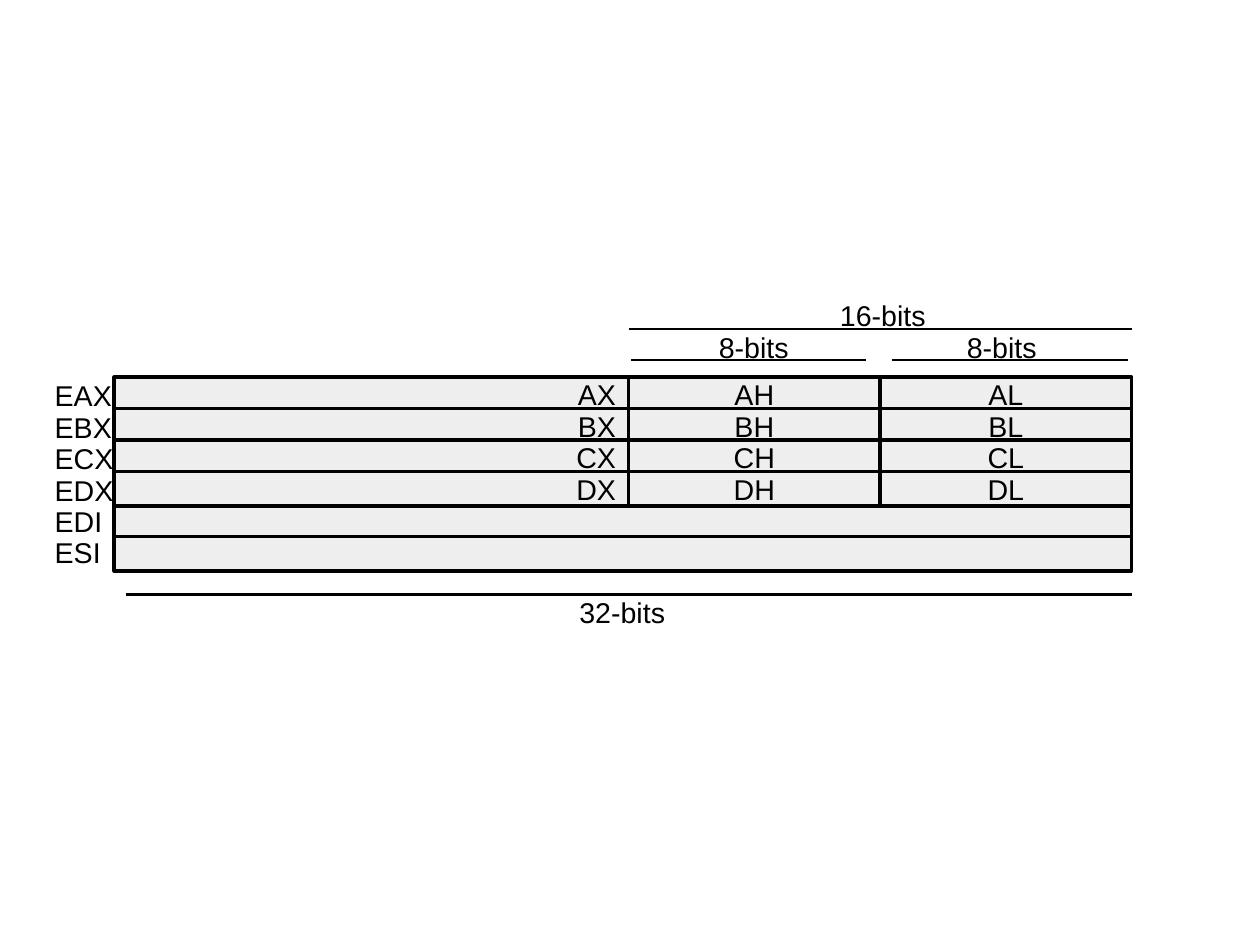
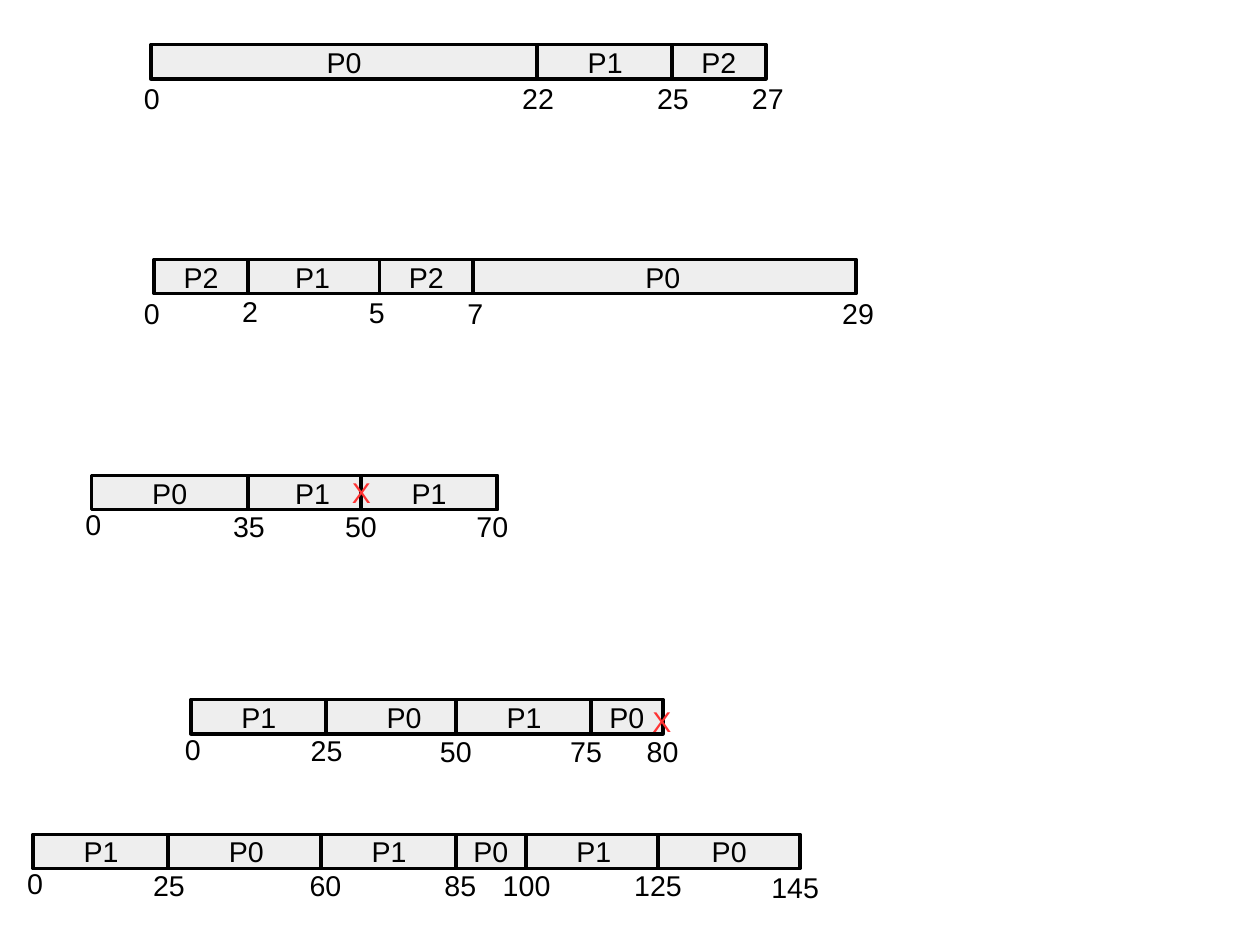
from typing import NamedTuple

from lxml import etree
from pptx import Presentation
from pptx.dml.color import RGBColor
from pptx.enum.shapes import MSO_CONNECTOR, MSO_SHAPE
from pptx.enum.text import MSO_ANCHOR, MSO_AUTO_SIZE, PP_ALIGN
from pptx.oxml.ns import qn
from pptx.slide import Slide
from pptx.text.text import TextFrame
from pptx.util import Inches, Pt

BLACK = RGBColor(0x00, 0x00, 0x00)
GREY = RGBColor(0xEE, 0xEE, 0xEE)
RED = RGBColor(0xFF, 0x33, 0x33)
FONT = "Arial"
FONT_SIZE = Pt(18)

LEFT, CENTER, RIGHT = PP_ALIGN.LEFT, PP_ALIGN.CENTER, PP_ALIGN.RIGHT
MIDDLE = MSO_ANCHOR.MIDDLE
GROW = MSO_AUTO_SIZE.SHAPE_TO_FIT_TEXT
RECTANGLE = MSO_SHAPE.RECTANGLE
STRAIGHT = MSO_CONNECTOR.STRAIGHT

CM_PER_INCH = 2.54
SLIDE_WIDTH = Inches(28 / CM_PER_INCH)
SLIDE_HEIGHT = Inches(21 / CM_PER_INCH)

BOX_HEIGHT = 0.3
LABEL_HEIGHT = 0.38
NUMBER_WIDTHS = {1: 0.34, 2: 0.48, 3: 0.62}  # by count of digits
CROSS_WIDTH = 0.36

REGISTERS_LEFT, REGISTERS_RIGHT = 1.0, 9.9
REGISTERS_TOP = 3.3
ROW_PITCH = 1.1 / 4
WHOLE_TOP = 4.42
NAME_LEFT, NAME_TOP, NAME_WIDTH = 0.38, 3.26, 0.72


class Column(NamedTuple):
    left: float
    width: float
    suffix: str
    align: PP_ALIGN


class Measure(NamedTuple):
    """A line that spans a number of bits, with its label."""
    start: float
    end: float
    y: float
    text: str
    label_left: float
    label_top: float
    label_width: float


class Block(NamedTuple):
    process: str
    left: float
    width: float


class Tick(NamedTuple):
    time: int
    center: float
    top: float


class Cross(NamedTuple):
    left: float
    top: float


class Timeline(NamedTuple):
    top: float
    blocks: list[Block]
    ticks: list[Tick]
    crosses: list[Cross] = []


COLUMNS = [
    Column(1.0, 4.5, "X", RIGHT),
    Column(7.7, 2.2, "L", CENTER),
    Column(5.5, 2.2, "H", CENTER),
]
SPLIT_REGISTERS = "ABCD"
WHOLE_REGISTERS = ["EDI", "ESI"]

MEASURES = [
    Measure(1.1, 9.9, 5.2, "32-bits", 4.97, 5.16, 0.95),
    Measure(5.5, 9.9, 2.88, "16-bits", 7.25, 2.56, 0.95),
    Measure(7.8, 9.87, 3.15, "8-bits", 8.36, 2.84, 0.81),
    Measure(5.52, 7.58, 3.15, "8-bits", 6.19, 2.84, 0.81),
]

TIMELINES = [
    Timeline(
        0.39,
        [Block("P0", 1.32, 3.38), Block("P1", 4.7, 1.19), Block("P2", 5.88, 0.82)],
        [Tick(0, 1.33, 0.66), Tick(22, 4.71, 0.66), Tick(25, 5.89, 0.66),
         Tick(27, 6.72, 0.66)],
    ),
    Timeline(
        2.27,
        [Block("P0", 4.11, 3.38), Block("P1", 2.14, 1.19), Block("P2", 1.35, 0.82),
         Block("P2", 3.32, 0.82)],
        [Tick(0, 1.33, 2.54), Tick(2, 2.19, 2.52), Tick(5, 3.3, 2.53),
         Tick(7, 4.16, 2.54), Tick(29, 7.51, 2.54)],
    ),
    Timeline(
        4.16,
        [Block("P1", 2.14, 1.19), Block("P0", 0.8, 1.37), Block("P1", 3.16, 1.19)],
        [Tick(0, 0.82, 4.39), Tick(35, 2.18, 4.4), Tick(50, 3.16, 4.4),
         Tick(70, 4.31, 4.4)],
        [Cross(2.98, 4.11)],
    ),
    Timeline(
        6.12,
        [Block("P1", 1.67, 1.19), Block("P0", 2.85, 1.37), Block("P1", 3.99, 1.19),
         Block("P0", 5.17, 0.63)],
        [Tick(0, 1.69, 6.35), Tick(25, 2.86, 6.36), Tick(50, 3.99, 6.37),
         Tick(75, 5.13, 6.37), Tick(80, 5.8, 6.37)],
        [Cross(5.61, 6.11)],
    ),
    Timeline(
        7.3,
        [Block("P1", 0.29, 1.19), Block("P0", 1.47, 1.37), Block("P1", 2.81, 1.19),
         Block("P0", 3.99, 0.61), Block("P1", 4.6, 1.19), Block("P0", 5.76, 1.24)],
        [Tick(0, 0.31, 7.53), Tick(25, 1.48, 7.54), Tick(60, 2.85, 7.54),
         Tick(85, 4.03, 7.54), Tick(100, 4.61, 7.54), Tick(125, 5.76, 7.54),
         Tick(145, 6.96, 7.56)],
    ),
]


def write(tf: TextFrame, text: str, align: PP_ALIGN, color: RGBColor) -> None:
    p = tf.paragraphs[0]
    p.alignment = align
    r = p.add_run()
    r.text = text
    r.font.name = FONT
    r.font.size = FONT_SIZE
    r.font.color.rgb = color


def add_box(s: Slide, left: float, top: float, width: float,
            text: str = "", align: PP_ALIGN = CENTER) -> None:
    sp = s.shapes.add_shape(RECTANGLE, Inches(left), Inches(top),
                            Inches(width), Inches(BOX_HEIGHT))
    sp.shadow.inherit = False
    sp.fill.solid()
    sp.fill.fore_color.rgb = GREY
    sp.line.color.rgb = BLACK
    sp.line.width = Pt(2.3)
    if text:
        tf = sp.text_frame
        tf.word_wrap = False
        tf.vertical_anchor = MIDDLE
        tf.margin_left = tf.margin_right = Inches(0.11)
        tf.margin_top = tf.margin_bottom = Inches(0.06)
        write(tf, text, align, BLACK)


def add_label(s: Slide, left: float, top: float, width: float, text: str,
              color: RGBColor = BLACK, wrap: bool = False) -> None:
    sp = s.shapes.add_textbox(Inches(left), Inches(top),
                              Inches(width), Inches(LABEL_HEIGHT))
    tf = sp.text_frame
    tf.word_wrap = wrap
    tf.auto_size = GROW
    write(tf, text, LEFT, color)


def add_measure(s: Slide, m: Measure) -> None:
    line = s.shapes.add_connector(STRAIGHT, Inches(m.start), Inches(m.y),
                                  Inches(m.end), Inches(m.y))
    line.line.color.rgb = BLACK
    line.line.width = Pt(1.5)
    etree.SubElement(line._element.spPr, qn("a:effectLst"))
    add_label(s, m.label_left, m.label_top, m.label_width, m.text)


def add_timeline(s: Slide, timeline: Timeline) -> None:
    for block in timeline.blocks:
        add_box(s, block.left, timeline.top, block.width, block.process)
    for tick in timeline.ticks:
        text = str(tick.time)
        width = NUMBER_WIDTHS[len(text)]
        add_label(s, tick.center - width / 2, tick.top, width, text)
    for cross in timeline.crosses:
        add_label(s, cross.left, cross.top, CROSS_WIDTH, "X", RED, wrap=True)


def build_registers(s: Slide) -> None:
    whole_width = REGISTERS_RIGHT - REGISTERS_LEFT
    for i in range(len(WHOLE_REGISTERS)):
        add_box(s, REGISTERS_LEFT, WHOLE_TOP + i * ROW_PITCH, whole_width)
    for i, letter in enumerate(SPLIT_REGISTERS):
        for column in COLUMNS:
            add_box(s, column.left, REGISTERS_TOP + i * ROW_PITCH, column.width,
                    letter + column.suffix, column.align)
    names = [f"E{letter}X" for letter in SPLIT_REGISTERS] + WHOLE_REGISTERS
    for i, name in enumerate(names):
        add_label(s, NAME_LEFT, NAME_TOP + i * ROW_PITCH, NAME_WIDTH, name, wrap=True)
    for measure in MEASURES:
        add_measure(s, measure)


def build_schedules(s: Slide) -> None:
    for timeline in TIMELINES:
        add_timeline(s, timeline)


def main() -> None:
    prs = Presentation()
    prs.slide_width, prs.slide_height = SLIDE_WIDTH, SLIDE_HEIGHT
    blank = prs.slide_layouts[6]
    for build in (build_registers, build_schedules):
        build(prs.slides.add_slide(blank))
    prs.save("out.pptx")


if __name__ == "__main__":
    main()
